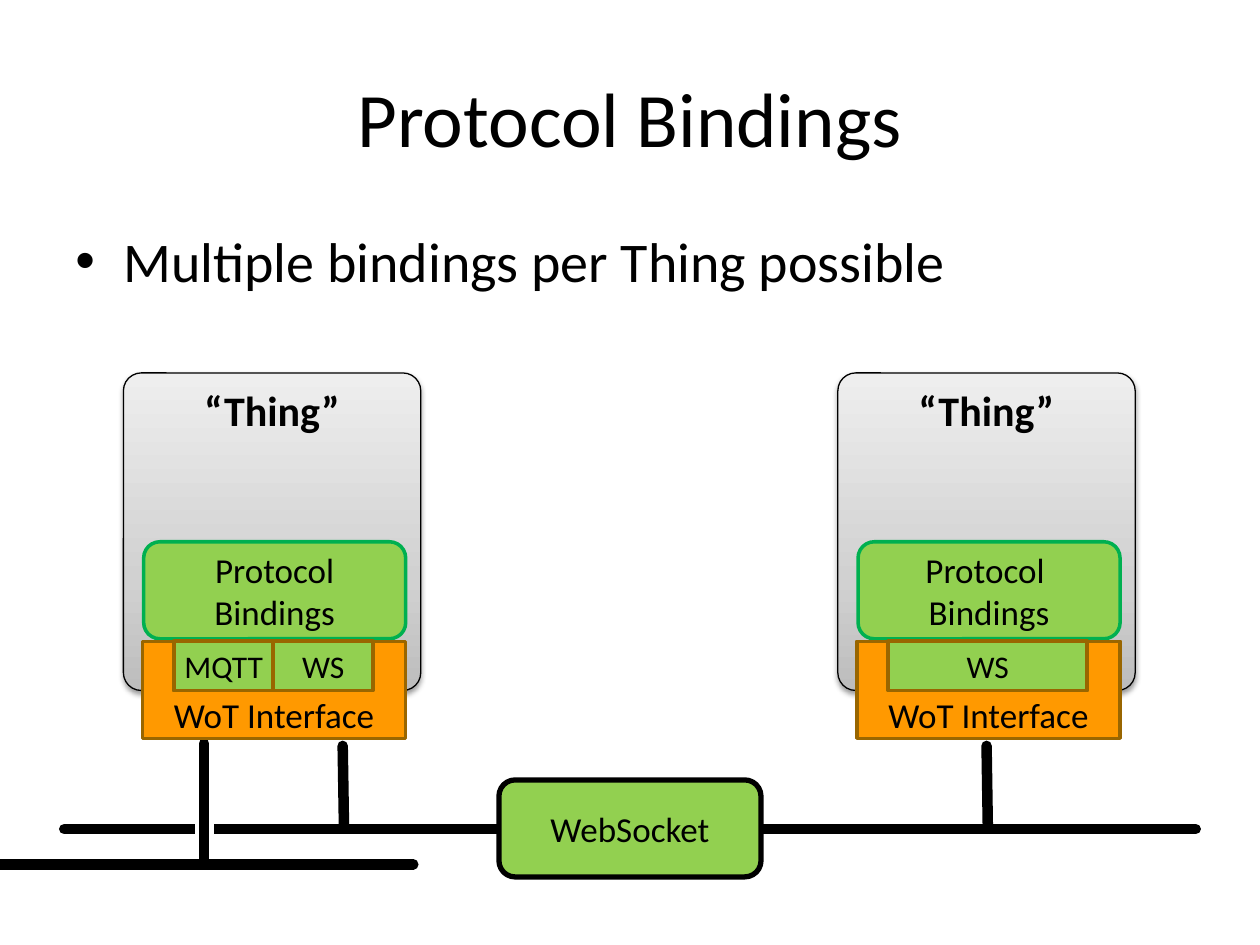
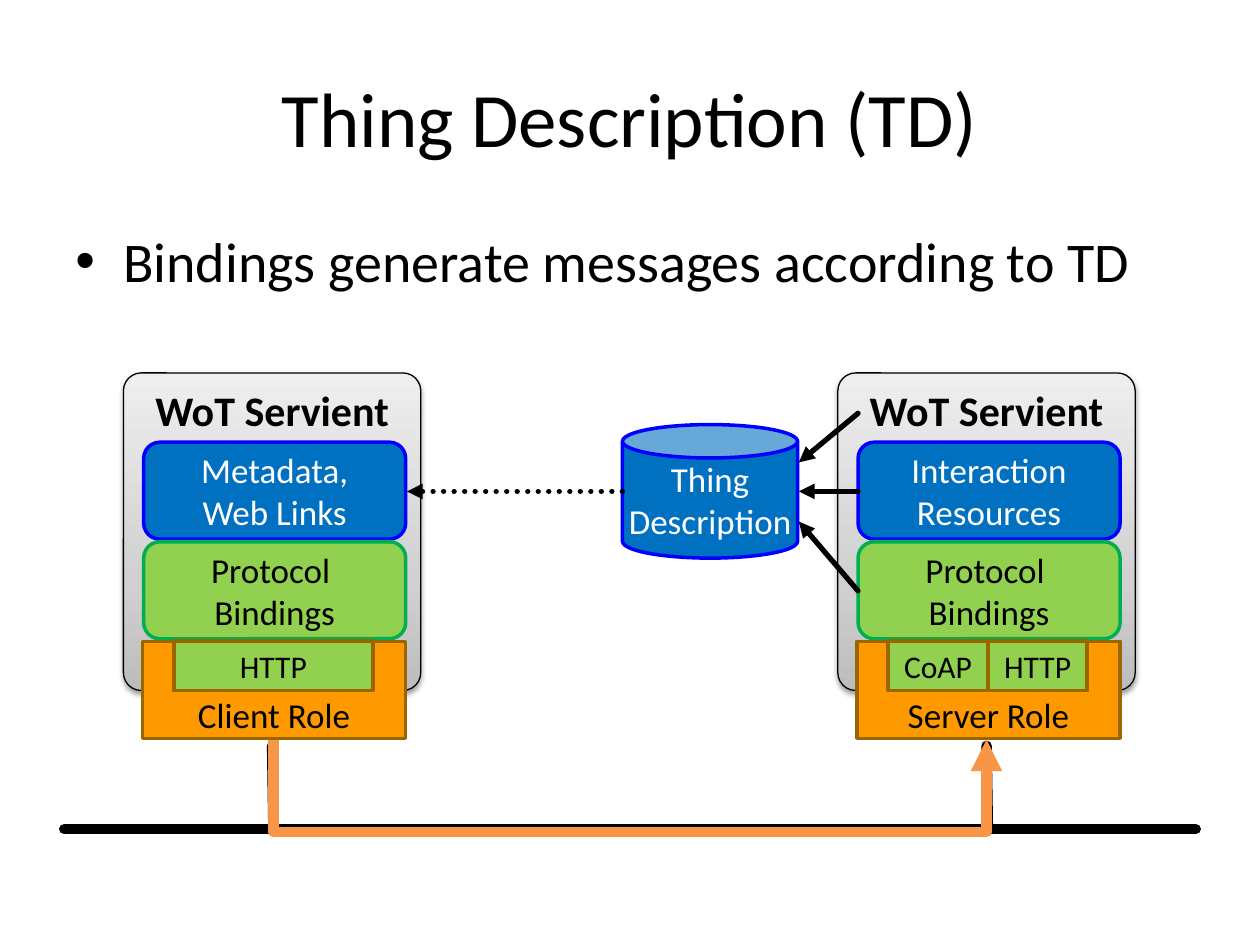
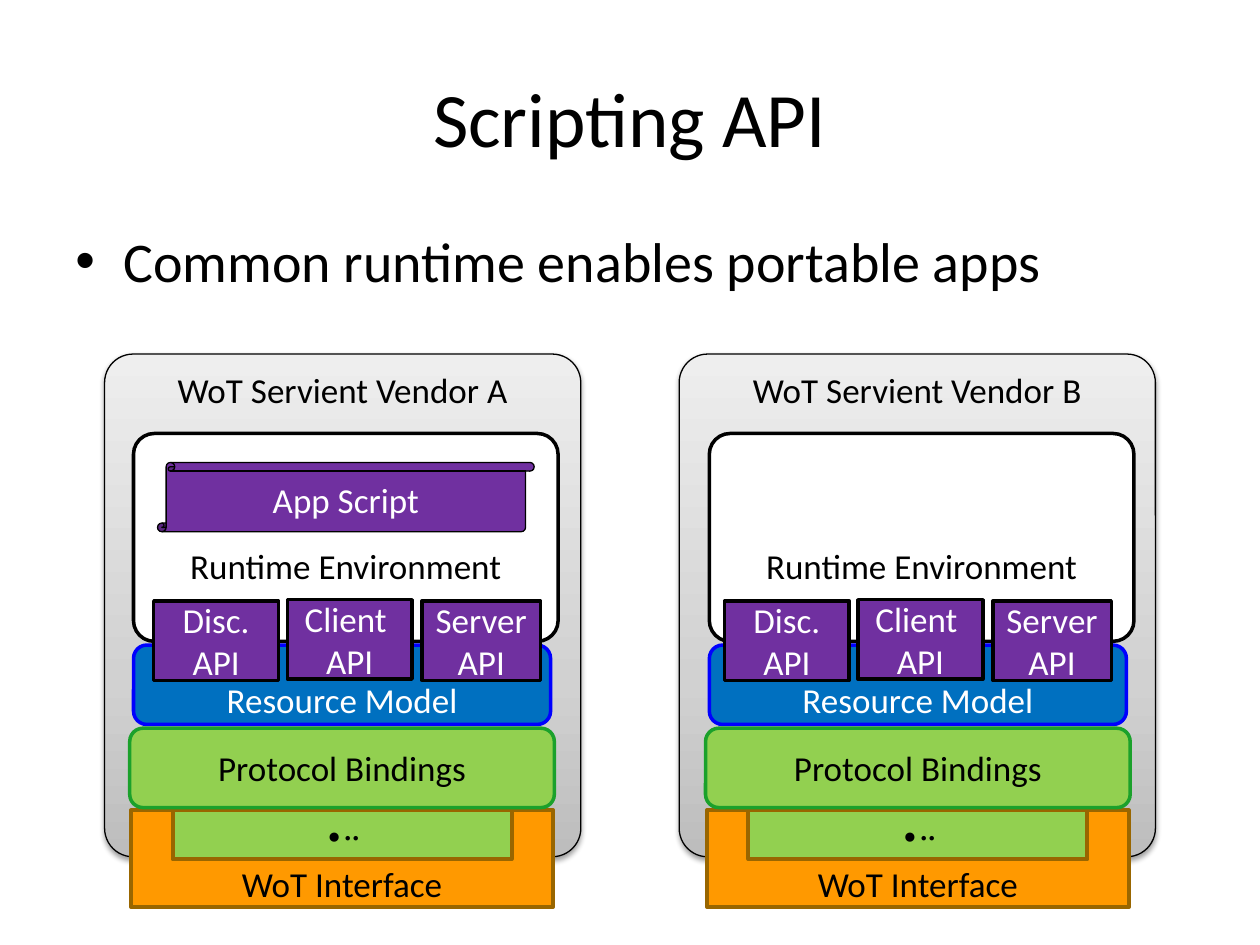
from dataclasses import dataclass

from lxml import etree
from pptx import Presentation
from pptx.dml.color import RGBColor
from pptx.enum.dml import MSO_LINE
from pptx.enum.shapes import MSO_CONNECTOR, MSO_SHAPE
from pptx.enum.text import MSO_ANCHOR, PP_ALIGN
from pptx.oxml import parse_xml
from pptx.oxml.ns import nsdecls, qn
from pptx.util import Emu, Pt

# Shared look
PX = 9144  # EMU per px, 100 px to the inch
FONT = "Calibri"
BLACK, WHITE = "000000", "FFFFFF"
GREEN, GREEN_EDGE, DEEP_GREEN = "92D050", "00B050", "1BA12B"
BLUE, BLUE_EDGE = "0070C0", "0000FF"
ORANGE, BROWN, FLOW = "FF9900", "996600", "F79646"
PURPLE = "7030A0"

RECT, ROUND = MSO_SHAPE.RECTANGLE, MSO_SHAPE.ROUNDED_RECTANGLE
CAN, SCROLL = MSO_SHAPE.CAN, MSO_SHAPE.VERTICAL_SCROLL
STRAIGHT, ELBOW = MSO_CONNECTOR.STRAIGHT, MSO_CONNECTOR.ELBOW
LEFT, CENTER = PP_ALIGN.LEFT, PP_ALIGN.CENTER
TOP, MIDDLE, BOTTOM = MSO_ANCHOR.TOP, MSO_ANCHOR.MIDDLE, MSO_ANCHOR.BOTTOM
DOTTED = MSO_LINE.ROUND_DOT

INSETS = (10, 5, 10, 5)
TRUNK_Y = 658
INTERFACE_HEIGHT, SLOT_HEIGHT = 77, 39

PANEL_FILL = f"""<a:gradFill {nsdecls("a")} rotWithShape="1"><a:gsLst>
<a:gs pos="0"><a:srgbClr val="BDBDBD"/></a:gs>
<a:gs pos="35000"><a:srgbClr val="D1D1D1"/></a:gs>
<a:gs pos="100000"><a:srgbClr val="EEEEEE"/></a:gs>
</a:gsLst><a:lin ang="16200000" scaled="0"/></a:gradFill>"""
PANEL_SHADOW = f"""<a:outerShdw {nsdecls("a")} blurRad="40000" dist="20000"
dir="5400000" rotWithShape="0"><a:srgbClr val="000000">
<a:alpha val="38000"/></a:srgbClr></a:outerShdw>"""


@dataclass(frozen=True)
class Block:
    """A filled, outlined shape with centred text."""
    text: str
    left: int
    top: int
    width: int
    height: int
    fill: str
    edge: str
    weight: float = 2
    kind: int = ROUND
    corner: float | None = None
    ink: str = BLACK
    size: int = 20
    anchor: int = MIDDLE
    wrap: bool = True
    insets: tuple[int, int, int, int] = INSETS


@dataclass(frozen=True)
class Wire:
    """A straight line, with an arrowhead at its end if asked for."""
    x1: int
    y1: int
    x2: int
    y2: int
    color: str = BLACK
    weight: float = 6
    arrow: bool = False
    dotted: bool = False


@dataclass(frozen=True)
class Node:
    """A networked device with its bindings and network interface."""
    left: int
    name: str
    bindings: str
    role: str
    protocols: tuple[str, ...]
    model: str = ""


@dataclass(frozen=True)
class Vendor:
    """One vendor's runtime stack."""
    name: str
    left: int
    stack_left: int
    api_left: int
    app: str = ""


def rgb(value: str) -> RGBColor:
    return RGBColor.from_string(value)


def px(*lengths: int) -> list[Emu]:
    return [Emu(length * PX) for length in lengths]


def write_text(frame, text: str, *, size: int, color: str = BLACK,
               bold: bool = False, align: int = CENTER, anchor: int = MIDDLE,
               wrap: bool = True, insets: tuple[int, ...] = INSETS) -> None:
    """Fill a text frame; \\n starts a paragraph and \\v a line."""
    frame.text = text
    frame.word_wrap = wrap
    frame.vertical_anchor = anchor
    (frame.margin_left, frame.margin_top,
     frame.margin_right, frame.margin_bottom) = px(*insets)
    for paragraph in frame.paragraphs:
        paragraph.alignment = align
        for run in paragraph.runs:
            run.font.name = FONT
            run.font.size = Pt(size)
            run.font.bold = bold
            run.font.color.rgb = rgb(color)


def paint(shape, fill: str, edge: str, weight: float) -> None:
    shape.shadow.inherit = False
    shape.fill.solid()
    shape.fill.fore_color.rgb = rgb(fill)
    shape.line.color.rgb = rgb(edge)
    shape.line.width = Pt(weight)


def draw_block(slide, block: Block) -> None:
    shape = slide.shapes.add_shape(
        block.kind, *px(block.left, block.top, block.width, block.height))
    if block.corner is not None:
        shape.adjustments[0] = block.corner
    paint(shape, block.fill, block.edge, block.weight)
    write_text(shape.text_frame, block.text, size=block.size, color=block.ink,
               anchor=block.anchor, wrap=block.wrap, insets=block.insets)


def draw_panel(slide, text: str, left: int, top: int, width: int, height: int,
               *, size: int, bold: bool) -> None:
    """Grey gradient panel with a soft shadow and a heading on top."""
    panel = slide.shapes.add_shape(ROUND, *px(left, top, width, height))
    panel.adjustments[0] = 0.06
    panel.shadow.inherit = False
    panel.line.color.rgb = rgb(BLACK)
    panel.line.width = Pt(0.75)
    properties = panel._element.spPr
    properties.find(qn("a:prstGeom")).addnext(parse_xml(PANEL_FILL))
    properties.find(qn("a:effectLst")).append(parse_xml(PANEL_SHADOW))
    write_text(panel.text_frame, text, size=size, bold=bold,
               anchor=TOP, wrap=False)


def style_connector(connector, color: str, weight: float, arrow: bool) -> None:
    connector.line.color.rgb = rgb(color)
    connector.line.width = Pt(weight)
    outline = connector.line._get_or_add_ln()
    outline.set("cap", "rnd")
    if arrow:
        etree.SubElement(outline, qn("a:tailEnd"), type="triangle")
    etree.SubElement(connector._element.spPr, qn("a:effectLst"))


def draw_wire(slide, wire: Wire) -> None:
    connector = slide.shapes.add_connector(
        STRAIGHT, *px(wire.x1, wire.y1, wire.x2, wire.y2))
    if wire.dotted:
        connector.line.dash_style = DOTTED
    style_connector(connector, wire.color, wire.weight, wire.arrow)


def draw_message_flow(slide, x1: int, y1: int, x2: int, y2: int,
                      depth: int) -> None:
    """U-shaped arrow that dips by depth below its start."""
    rise, span = y2 - y1, x2 - x1
    left, top = (x1 + x2 - rise) // 2, (y1 + y2 - span) // 2
    flow = slide.shapes.add_connector(
        ELBOW, *px(left, top, left + rise, top + span))
    properties = flow._element.spPr
    frame = properties.find(qn("a:xfrm"))
    frame.set("rot", "16200000")
    frame.set("flipH", "1")
    guides = properties.find(qn("a:prstGeom")).get_or_add_avLst()
    etree.SubElement(guides, qn("a:gd"), name="adj1",
                     fmla=f"val {depth * 100000 // rise}")
    style_connector(flow, FLOW, 6, True)


def draw_interface(slide, text: str, left: int, top: int, width: int,
                   notch_left: int, notch_width: int) -> None:
    """Orange bracket whose notch holds the protocol slots."""
    right, bottom = left + width, top + INTERFACE_HEIGHT
    notch_right, floor = notch_left + notch_width, top + SLOT_HEIGHT
    builder = slide.shapes.build_freeform(left, top, scale=PX)
    builder.add_line_segments([
        (notch_left, top), (notch_left, floor), (notch_right, floor),
        (notch_right, top), (right, top), (right, bottom), (left, bottom)])
    bracket = builder.convert_to_shape()
    paint(bracket, ORANGE, BROWN, 2)
    write_text(bracket.text_frame, text, size=20, anchor=BOTTOM,
               insets=(10, 0, 10, 2))


def draw_slots(slide, protocols: tuple[str, ...], left: int, top: int,
               width: int) -> None:
    slot = width // len(protocols)
    for index, protocol in enumerate(protocols):
        draw_block(slide, Block(
            protocol, left + index * slot, top, slot, SLOT_HEIGHT, GREEN,
            BROWN, 2.25, RECT, size=18, insets=(0, 5, 0, 5)))


def draw_node(slide, node: Node) -> None:
    inner = node.left + 16
    draw_panel(slide, node.name, node.left, 296, 236, 252, size=24, bold=True)
    if node.model:
        draw_block(slide, Block(node.model, inner, 351, 208, 77, BLUE,
                                BLUE_EDGE, ink=WHITE))
    draw_block(slide, Block(node.bindings, inner, 430, 208, 77, GREEN,
                            GREEN_EDGE))
    draw_interface(slide, node.role, inner - 1, 509, 209, inner + 24, 157)
    draw_slots(slide, node.protocols, inner + 24, 509, 158)


def draw_vendor(slide, vendor: Vendor) -> None:
    stack = vendor.stack_left
    draw_panel(slide, vendor.name, vendor.left, 281, 378, 399,
               size=20, bold=False)
    draw_block(slide, Block("Runtime Environment", stack, 344, 337, 165, WHITE,
                            BLACK, corner=0.1, anchor=BOTTOM,
                            insets=(10, 5, 10, 39)))
    draw_block(slide, Block("Resource Model", stack, 512, 331, 63, BLUE,
                            BLUE_EDGE, ink=WHITE, anchor=BOTTOM,
                            insets=(10, 5, 10, 0)))
    if vendor.app:
        draw_block(slide, Block(vendor.app, stack + 19, 367, 299, 55, PURPLE,
                                BLACK, 0.75, SCROLL, ink=WHITE, wrap=False))
    for text, offset, top, width in (("Disc.\vAPI", 0, 477, 99),
                                     ("Client \vAPI", 106, 476, 99),
                                     ("Server\vAPI", 213, 477, 94)):
        draw_block(slide, Block(text, vendor.api_left + offset, top, width, 63,
                                PURPLE, BLACK, corner=0, ink=WHITE))
    draw_interface(slide, "WoT Interface", stack - 2, 643, 335, stack + 38, 253)
    draw_slots(slide, ("∙··",), stack + 31, 643, 269)
    draw_block(slide, Block("Protocol Bindings", stack - 3, 578, 337, 63,
                            GREEN, DEEP_GREEN))


def add_topic(deck, title: str, point: str):
    """New slide with its title and one bullet point."""
    slide = deck.slides.add_slide(deck.slide_layouts[6])
    heading = slide.shapes.add_textbox(*px(50, 30, 900, 125))
    write_text(heading.text_frame, title, size=44)
    body = slide.shapes.add_textbox(*px(50, 175, 900, 495))
    write_text(body.text_frame, point, size=32, align=LEFT, anchor=TOP)
    layout = body.text_frame.paragraphs[0]._p.get_or_add_pPr()
    layout.set("marL", str(38 * PX))
    layout.set("indent", str(-38 * PX))
    etree.SubElement(layout, qn("a:buFont"), typeface="Arial")
    etree.SubElement(layout, qn("a:buChar"), char="•")
    return slide


def draw_trunk(slide, *drops: int) -> None:
    """Network line with one drop up to each interface."""
    draw_wire(slide, Wire(51, TRUNK_Y, 949, TRUNK_Y))
    for x in drops:
        draw_wire(slide, Wire(x, 656, x - 1, 592))


def build_bindings(deck) -> None:
    slide = add_topic(deck, "Protocol Bindings",
                      "Multiple bindings per Thing possible")
    draw_trunk(slide, 273, 784)
    # Second network, crossing the first one
    draw_wire(slide, Wire(0, 686, 328, 686))
    for x in (168, 157):
        draw_wire(slide, Wire(x, 635, x, 674, WHITE, 3))
    draw_wire(slide, Wire(162, 685, 162, 590))
    # Things
    for node in (
            Node(98, "“Thing”", "Protocol\vBindings", "WoT Interface",
                 ("MQTT", "WS")),
            Node(665, "“Thing”", "Protocol \vBindings", "WoT Interface",
                 ("WS",))):
        draw_node(slide, node)
    draw_block(slide, Block("WebSocket", 396, 619, 208, 77, GREEN, BLACK, 3))


def build_description(deck) -> None:
    slide = add_topic(deck, "Thing Description (TD)",
                      "Bindings generate messages according to TD")
    draw_trunk(slide, 217, 784)
    draw_message_flow(slide, 217, 585, 783, 587, 75)
    # Servients
    for node in (
            Node(98, "WoT Servient", "Protocol \vBindings", "Client Role",
                 ("HTTP",), "Metadata,\vWeb Links"),
            Node(665, "WoT Servient", "Protocol \vBindings", "Server Role",
                 ("CoAP", "HTTP"), "Interaction\vResources")):
        draw_node(slide, node)
    # Description and what feeds it
    draw_block(slide, Block("Thing\nDescription", 494, 337, 139, 106, BLUE,
                            BLUE_EDGE, kind=CAN, ink=WHITE, wrap=False))
    for source_y, target_y in ((390, 390), (469, 414), (328, 367)):
        draw_wire(slide, Wire(681, source_y, 634, target_y, weight=3,
                              arrow=True))
    draw_wire(slide, Wire(494, 390, 323, 390, weight=3, arrow=True,
                          dotted=True))


def build_scripting(deck) -> None:
    slide = add_topic(deck, "Scripting API",
                      "Common runtime enables portable apps")
    for vendor in (Vendor("WoT Servient Vendor A", 83, 106, 122, "App Script"),
                   Vendor("WoT Servient Vendor B", 539, 563, 575)):
        draw_vendor(slide, vendor)


def main() -> None:
    deck = Presentation()
    deck.slide_width, deck.slide_height = px(1000, 750)
    build_bindings(deck)
    build_description(deck)
    build_scripting(deck)
    deck.save("out.pptx")


if __name__ == "__main__":
    main()
